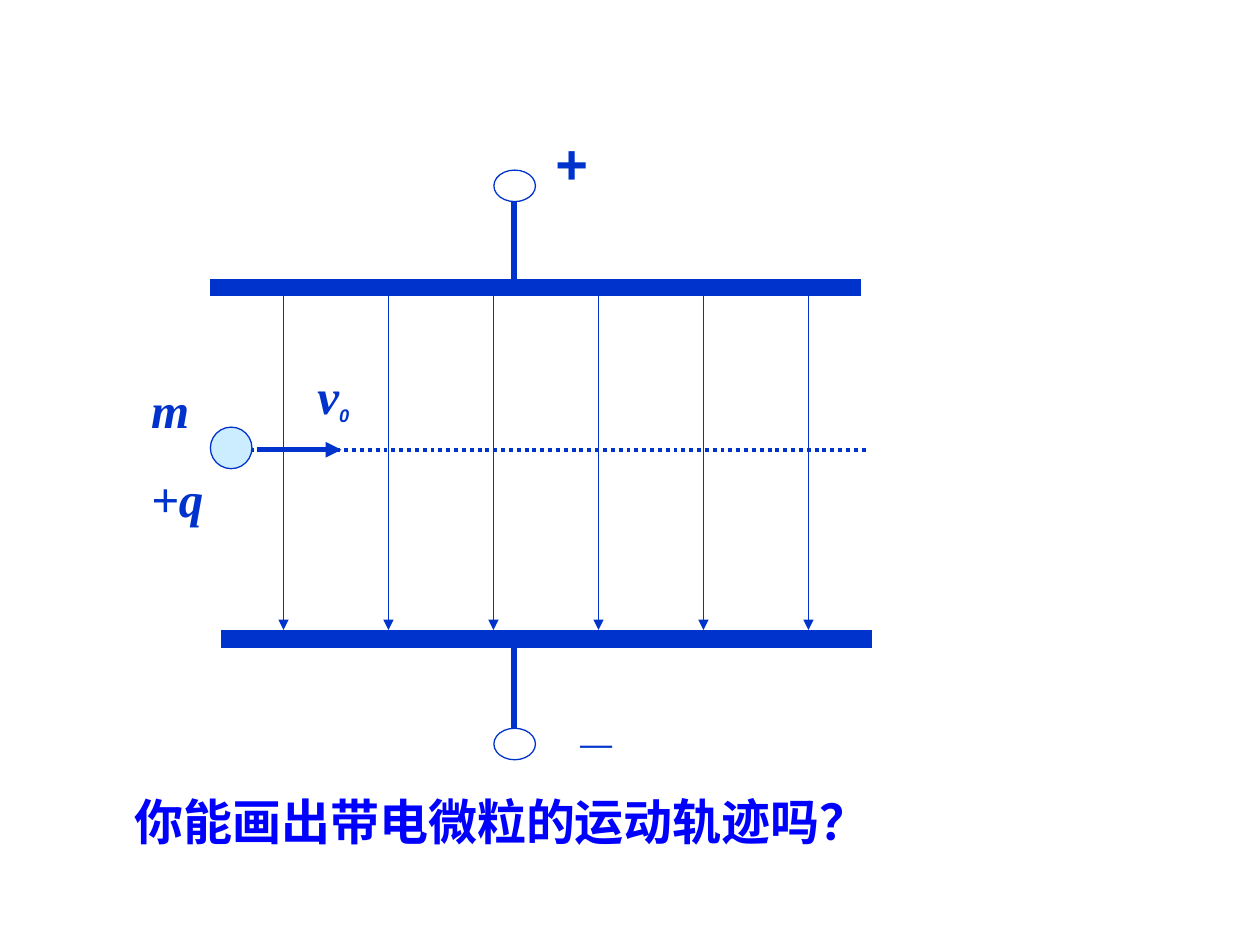
import pptx
import pptx.util
import pptx.dml.color
import pptx.enum.dml
import pptx.enum.shapes
import pptx.enum.text
import pptx.oxml.ns
from lxml import etree

Inches, Pt = pptx.util.Inches, pptx.util.Pt
RGB = pptx.dml.color.RGBColor.from_string
COLORS = {"ink": "0033CC", "question": "0000FF", "ball": "CCECFF", "white": "FFFFFF"}

prs = pptx.Presentation()
prs.slide_width, prs.slide_height = Inches(10), Inches(7.5)
s = prs.slides.add_slide(prs.slide_layouts[6])


def add_line(x1, y1, x2, y2, width, arrow=False):
    c = s.shapes.add_connector(pptx.enum.shapes.MSO_CONNECTOR.STRAIGHT,
                               Inches(x1), Inches(y1), Inches(x2), Inches(y2))
    c.line.color.rgb = RGB(COLORS["ink"])
    c.line.width = Pt(width)
    if arrow:
        ln = c.line._get_or_add_ln()
        etree.SubElement(ln, pptx.oxml.ns.qn("a:tailEnd"), type="triangle")
    etree.SubElement(c._element.spPr, pptx.oxml.ns.qn("a:effectLst"))
    return c


def add_text(x, y, w, h, paragraphs, space=0):
    tf = s.shapes.add_textbox(Inches(x), Inches(y), Inches(w), Inches(h)).text_frame
    tf.word_wrap = True
    for i, runs in enumerate(paragraphs):
        p = tf.paragraphs[0] if i == 0 else tf.add_paragraph()
        if i:
            p.space_before = Pt(space)
        for text, color, fmt in runs:
            r = p.add_run()
            r.text = text
            r.font.color.rgb = RGB(COLORS[color])
            for name, value in fmt.items():
                setattr(r.font, name, value)
    return tf


symbol = {"name": "Times New Roman", "size": Pt(28), "bold": True, "italic": True}
sign = {"name": "Arial", "size": Pt(32), "bold": True}
subscript = {"name": "Arial", "size": Pt(18), "bold": True, "italic": True}
question = {"name": "Times New Roman", "size": Pt(28), "bold": True}

# Particle labels
add_text(1.1, 2.96, 1.25, 1.28,
         [[("m", "ink", symbol)], [("+q", "ink", symbol)]], space=17.5)

# Plates and their leads
add_line(1.67, 2.28, 6.83, 2.28, 10)
add_line(1.75, 5.07, 6.92, 5.07, 10)
for top, bottom in [(1.56, 2.22), (5.11, 5.78)]:
    add_line(4.08, top, 4.08, bottom, 3)

# Centre line of the field
axis = add_line(1.8, 3.57, 6.89, 3.57, 2.25)
axis.line.dash_style = pptx.enum.dml.MSO_LINE.ROUND_DOT

# Terminals and charged particle
for x, y, w, h, fill in [(3.92, 1.35, 0.33, 0.25, "white"),
                         (3.92, 5.78, 0.33, 0.25, "white"),
                         (1.67, 3.39, 0.33, 0.33, "ball")]:
    sp = s.shapes.add_shape(pptx.enum.shapes.MSO_SHAPE.OVAL,
                            Inches(x), Inches(y), Inches(w), Inches(h))
    sp.shadow.inherit = False
    sp.fill.solid()
    sp.fill.fore_color.rgb = RGB(COLORS[fill])
    sp.line.color.rgb = RGB(COLORS["ink"])
    sp.line.width = Pt(0.75)

# Terminal signs
for x, y, text in [(4.31, 0.97, "+"), (4.51, 5.39, "_")]:
    add_text(x, y, 1.42, 0.64, [[(text, "ink", sign)]])

# Initial velocity
add_line(2.04, 3.57, 2.71, 3.57, 3, arrow=True)
tf = add_text(2.42, 2.85, 0.83, 0.58,
              [[("v", "ink", symbol), ("0", "ink", subscript)]])
tf.paragraphs[0].runs[1].font._element.set("baseline", "-25000")

# Field lines
for i in range(6):
    x = 2.25 + i * 5 / 6
    add_line(x, 2.33, x, 5, 1, arrow=True)

# Question
add_text(0.97, 6.23, 8.08, 0.57,
         [[("你能画出带电微粒的运动轨迹吗？", "question", question)]])

prs.save("out.pptx")
